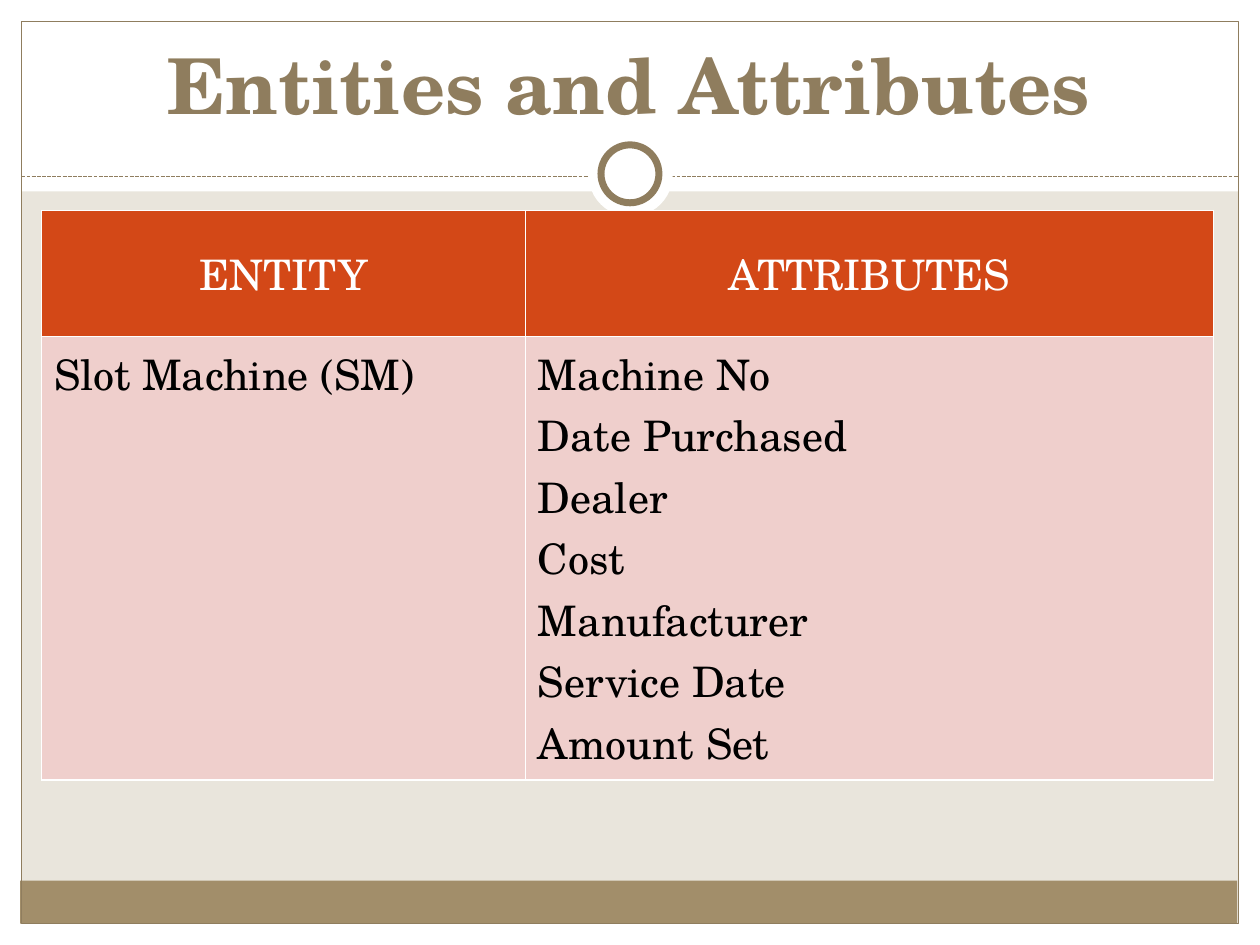
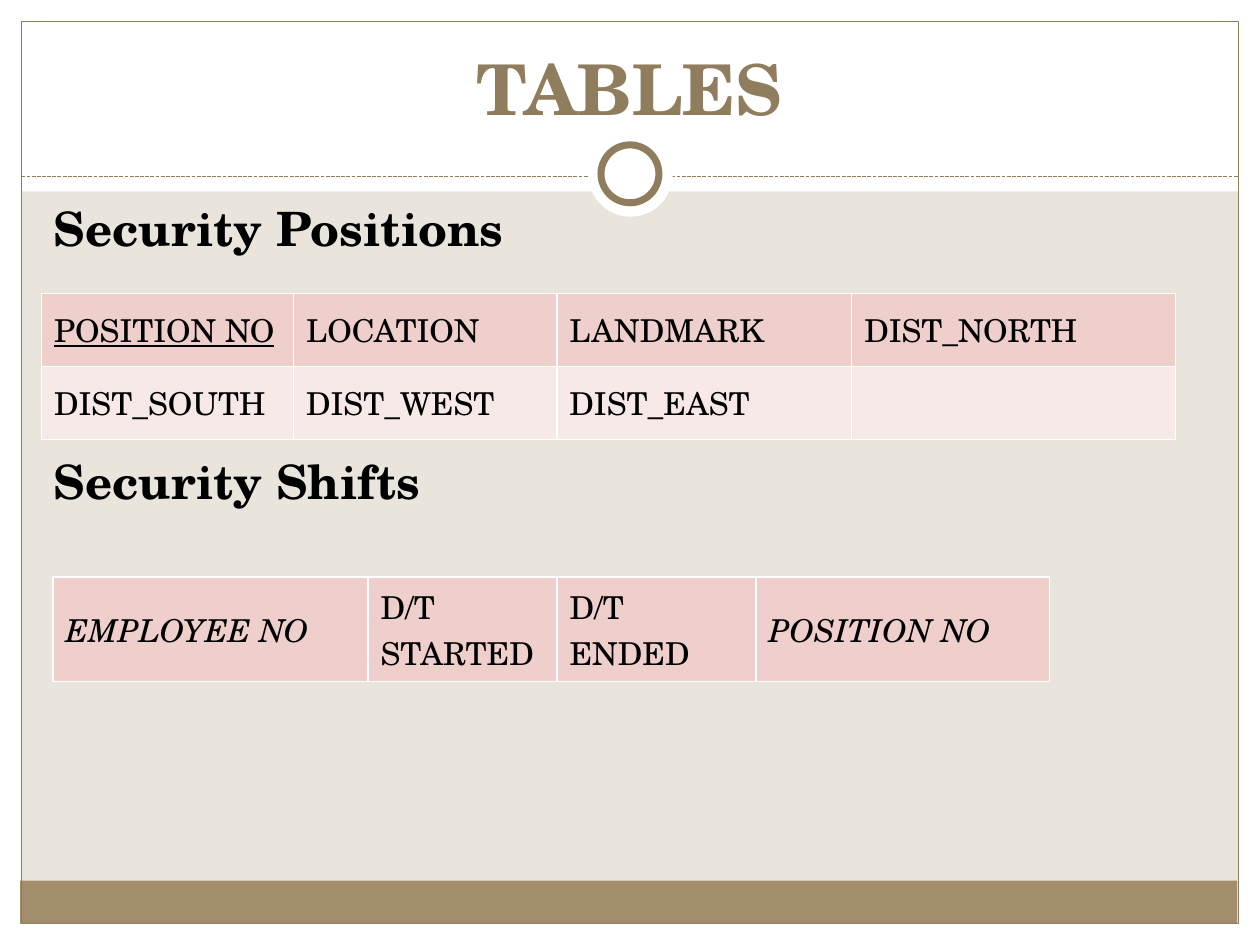
from lxml.etree import SubElement
from pptx import Presentation
from pptx.dml.color import RGBColor
from pptx.enum.dml import MSO_LINE
from pptx.enum.shapes import MSO_CONNECTOR, MSO_SHAPE
from pptx.enum.text import MSO_ANCHOR as ANCHOR, PP_ALIGN as ALIGN
from pptx.oxml.ns import qn
from pptx.util import Inches, Pt

FONT = "TeX Gyre Schola"
WHITE, BLACK, SAND = "FFFFFF", "000000", "E9E5DC"
BROWN, TAN = "8F7D5E", "A28E6A"
ORANGE, PINK, PALE_PINK = "D34817", "EFCFCC", "F7E9E8"


def color(value):
    return RGBColor.from_string(value)


def write(frame, lines, anchor=ANCHOR.TOP, align=ALIGN.LEFT, ink=BLACK, gap=0, spacing=1.0,
          **formats):
    """Fill a text frame, one paragraph a line, with gap points between the paragraphs."""
    frame.word_wrap = True
    frame.vertical_anchor = anchor
    for index, line in enumerate(lines):
        para = frame.paragraphs[0] if index == 0 else frame.add_paragraph()
        para.alignment = align
        para.line_spacing = spacing
        para.space_before = Pt(gap if index else 0)
        span = para.add_run()
        span.text = line
        span.font.name = FONT
        span.font.color.rgb = color(ink)
        for name, value in formats.items():
            setattr(span.font, name, value)


# Shared frame: shape, left, top, width, height, fill, line width
FRAME = [
    (MSO_SHAPE.RECTANGLE, 0, 7.33, 10, 0.17, WHITE, 0),
    (MSO_SHAPE.RECTANGLE, 0, 0, 10, 1.52, WHITE, 0),
    (MSO_SHAPE.RECTANGLE, 0, 0, 0.17, 7.5, WHITE, 0),
    (MSO_SHAPE.RECTANGLE, 9.83, 0, 0.17, 7.5, WHITE, 0),
    (MSO_SHAPE.RECTANGLE, 0.16, 6.99, 9.66, 0.34, TAN, 0),
    (MSO_SHAPE.RECTANGLE, 0.17, 0.17, 9.66, 7.16, None, 0.75),
    (MSO_SHAPE.OVAL, 4.67, 1.05, 0.67, 0.67, WHITE, 0),
    (MSO_SHAPE.OVAL, 4.77, 1.15, 0.46, 0.46, WHITE, 4),
]

# Cell styles: fill and text format
HEADER = (ORANGE, dict(anchor=ANCHOR.MIDDLE, align=ALIGN.CENTER, ink=WHITE, size=Pt(24)))
DETAIL = (PINK, dict(size=Pt(24)))
FIELD = (PINK, dict(anchor=ANCHOR.MIDDLE, size=Pt(18)))
PALE_FIELD = (PALE_PINK, FIELD[1])
PRIMARY_KEY = (PINK, dict(FIELD[1], underline=True))
FOREIGN_KEY = (PINK, dict(FIELD[1], italic=True))

attributes = ["Machine No", "Date Purchased", "Dealer", "Cost", "Manufacturer",
              "Service Date", "Amount Set"]
entity_table = dict(
    left=0.33, top=1.67, widths=[3.84, 5.46], heights=[1, 3.52],
    rows=[[(["ENTITY"], HEADER), (["ATTRIBUTES"], HEADER)],
          [(["Slot Machine (SM)"], DETAIL), (attributes, DETAIL)]])
shifts_table = dict(
    left=0.42, top=4.58, widths=[2.5, 1.5, 1.58, 2.33], heights=[0.83],
    rows=[[(["EMPLOYEE NO"], FOREIGN_KEY), (["D/T STARTED"], FIELD),
           (["D/T ENDED"], FIELD), (["POSITION NO"], FOREIGN_KEY)]])
positions_table = dict(
    left=0.33, top=2.33, widths=[2, 2.09, 2.34, 2.57], heights=[0.58, 0.58],
    rows=[[(["POSITION NO"], PRIMARY_KEY), (["LOCATION"], FIELD),
           (["LANDMARK"], FIELD), (["DIST_NORTH"], FIELD)],
          [(["DIST_SOUTH"], PALE_FIELD), (["DIST_WEST"], PALE_FIELD),
           (["DIST_EAST"], PALE_FIELD), ([], PALE_FIELD)]])

# Title, title size, headings, tables
PAGES = [
    ("Entities and Attributes", 44, [], [entity_table]),
    ("TABLES", 40, ["Security Positions", "Security Shifts"], [shifts_table, positions_table]),
]

deck = Presentation()
deck.slide_width, deck.slide_height = Inches(10), Inches(7.5)

for title, title_size, headings, tables in PAGES:
    page = deck.slides.add_slide(deck.slide_layouts[6])
    page.background.fill.solid()
    page.background.fill.fore_color.rgb = color(SAND)

    for kind, left, top, width, height, fill, line_width in FRAME:
        if kind == MSO_SHAPE.OVAL and fill == WHITE and not line_width:
            # The dashed rule lies under the ring
            rule = page.shapes.add_connector(MSO_CONNECTOR.STRAIGHT, Inches(0.17), Inches(1.4),
                                             Inches(9.83), Inches(1.4))
            rule.line.color.rgb = color(BROWN)
            rule.line.width = Pt(0.75)
            rule.line.dash_style = MSO_LINE.SQUARE_DOT
            SubElement(rule.line._get_or_add_ln().getparent(), qn("a:effectLst"))
        shape = page.shapes.add_shape(kind, Inches(left), Inches(top), Inches(width), Inches(height))
        shape.shadow.inherit = False
        if fill:
            shape.fill.solid()
            shape.fill.fore_color.rgb = color(fill)
        else:
            shape.fill.background()
        if line_width:
            shape.line.color.rgb = color(BROWN)
            shape.line.width = Pt(line_width)
        else:
            shape.line.fill.background()

    title_box = page.shapes.add_textbox(Inches(0.33), Inches(0.25), Inches(9.33), Inches(0.83))
    write(title_box.text_frame, [title], ANCHOR.BOTTOM, ALIGN.CENTER, BROWN,
          size=Pt(title_size), bold=True)

    if headings:
        heading_box = page.shapes.add_textbox(Inches(0.33), Inches(1.58), Inches(9.3), Inches(5.33))
        write(heading_box.text_frame, headings, gap=115.5, spacing=0.9, size=Pt(27), bold=True)

    for layout in tables:
        widths, heights = layout["widths"], layout["heights"]
        table = page.shapes.add_table(
            len(heights), len(widths), Inches(layout["left"]), Inches(layout["top"]),
            Inches(sum(widths)), Inches(sum(heights))).table
        table.first_row = table.horz_banding = False
        for column, width in zip(table.columns, widths):
            column.width = Inches(width)
        for row, height, entries in zip(table.rows, heights, layout["rows"]):
            row.height = Inches(height)
            for cell, (lines, (fill, text_format)) in zip(row.cells, entries):
                properties = cell._tc.get_or_add_tcPr()
                for side in ("a:lnL", "a:lnR", "a:lnT", "a:lnB"):
                    border = SubElement(properties, qn(side), w=str(Pt(1)))
                    border_fill = SubElement(border, qn("a:solidFill"))
                    SubElement(border_fill, qn("a:srgbClr"), val=WHITE)
                cell.fill.solid()
                cell.fill.fore_color.rgb = color(fill)
                cell.vertical_anchor = text_format.get("anchor", ANCHOR.TOP)
                write(cell.text_frame, lines, **text_format)

deck.save("out.pptx")
